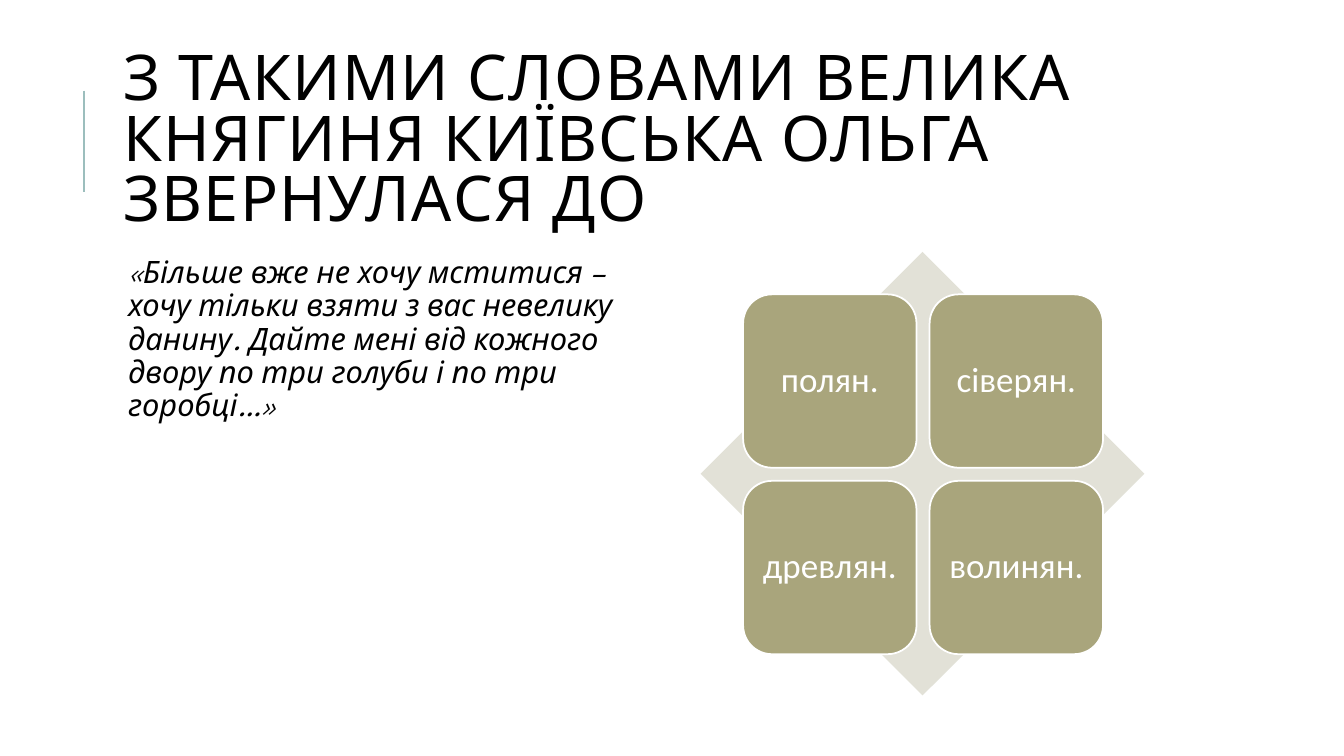
"""Build the quiz slide about Princess Olga's words with four answer tiles."""
from dataclasses import dataclass
from itertools import product

from lxml.etree import SubElement
from pptx import Presentation
from pptx.dml.color import RGBColor
from pptx.enum.shapes import MSO_CONNECTOR as CONN, MSO_SHAPE as SHAPE
from pptx.enum.text import MSO_ANCHOR as ANCHOR, MSO_AUTO_SIZE as AUTO, PP_ALIGN as ALIGN
from pptx.oxml.ns import qn
from pptx.util import Inches, Pt


@dataclass(frozen=True)
class Theme:
    ink: str = "000000"
    paper: str = "FFFFFF"
    accent: str = "9CBEBD"
    tile: str = "A9A57C"
    diamond: str = "E2E1D7"
    text_font: str = "League Spartan"
    tile_font: str = "Calibri"
    title_size: int = 45
    body_size: int = 22
    tile_size: int = 25


class QuizSlide:
    def __init__(self, prs, theme):
        self.theme = theme
        self.s = prs.slides.add_slide(prs.slide_layouts[1])

    def rgb(self, color):
        return RGBColor.from_string(color)

    def frame(self, sp, anchor, inset):
        tf = sp.text_frame
        tf.word_wrap = True
        tf.auto_size = AUTO.NONE
        tf.vertical_anchor = anchor
        tf.margin_left = tf.margin_right = Inches(inset)
        tf.margin_top = tf.margin_bottom = Inches(inset)
        return tf.paragraphs[0]

    def run(self, p, text, font, size, color, align, spacing):
        p.alignment = align
        p.line_spacing = spacing
        p.space_before = Pt(0)
        r = p.add_run()
        r.text = text
        r.font.name = font
        r.font.size = Pt(size)
        r.font.color.rgb = self.rgb(color)
        return r

    def place(self, sp, left, top, width, height):
        sp.left, sp.top = Inches(left), Inches(top)
        sp.width, sp.height = Inches(width), Inches(height)

    def title(self, text, *box):
        t, sp = self.theme, self.s.shapes.title
        self.place(sp, *box)
        p = self.frame(sp, ANCHOR.MIDDLE, 0.1)
        r = self.run(p, text, t.text_font, t.title_size, t.ink, ALIGN.LEFT, 0.8)
        r.font._element.set("spc", "100")

    def body(self, text, *box):
        t, sp = self.theme, self.s.placeholders[1]
        self.place(sp, *box)
        p = self.frame(sp, ANCHOR.TOP, 0.05)
        pPr = p._p.get_or_add_pPr()
        pPr.set("marL", str(Inches(0.1)))
        pPr.set("indent", str(Inches(-0.1)))
        SubElement(SubElement(pPr, qn("a:buClr")), qn("a:srgbClr")).set("val", t.accent)
        SubElement(pPr, qn("a:buChar")).set("char", " ")
        r = self.run(p, text, t.text_font, t.body_size, t.ink, ALIGN.LEFT, 0.9)
        r.font.italic = True
        p.space_after = Pt(2)

    def line(self, x, top, bottom):
        cn = self.s.shapes.add_connector(
            CONN.STRAIGHT, Inches(x), Inches(top), Inches(x), Inches(bottom))
        cn.line.color.rgb = self.rgb(self.theme.accent)
        cn.line.width = Pt(1.5)
        SubElement(cn._element.spPr, qn("a:effectLst"))

    def shape(self, kind, left, top, size, fill):
        sp = self.s.shapes.add_shape(
            kind, Inches(left), Inches(top), Inches(size), Inches(size))
        sp.shadow.inherit = False
        sp.fill.solid()
        sp.fill.fore_color.rgb = self.rgb(fill)
        sp.line.fill.background()
        return sp

    def diamond(self, left, top, size):
        self.shape(SHAPE.DIAMOND, left, top, size, self.theme.diamond)

    def tile(self, text, left, top, size):
        t = self.theme
        sp = self.shape(SHAPE.ROUNDED_RECTANGLE, left, top, size, t.tile)
        sp.line.color.rgb = self.rgb(t.paper)
        sp.line.width = Pt(1.25)
        p = self.frame(sp, ANCHOR.MIDDLE, 0.1)
        self.run(p, text, t.tile_font, t.tile_size, t.paper, ALIGN.CENTER, 0.9)


def main():
    prs = Presentation()
    prs.slide_width, prs.slide_height = Inches(13.33), Inches(7.5)
    quiz = QuizSlide(prs, Theme())
    quiz.line(0.83, 0.9, 1.9)
    quiz.title("З ТАКИМИ СЛОВАМИ ВЕЛИКА КНЯГИНЯ КИЇВСЬКА ОЛЬГА ЗВЕРНУЛАСЯ ДО",
               1.12, 0.6, 10.63, 1.64)
    quiz.body("«Більше вже не хочу мститися – хочу тільки взяти з вас невелику данину. "
              "Дайте мені від кожного двору по три голуби і по три горобці…»",
              1.12, 2.5, 5.2, 4.4)
    left, top, size = 6.95, 2.5, 4.4
    quiz.diamond(left, top, size)
    margin, tile, pitch = 0.42, 1.72, 1.85
    answers = ("полян.", "сіверян.", "древлян.", "волинян.")
    for text, (row, col) in zip(answers, product(range(2), repeat=2)):
        quiz.tile(text, left + margin + col * pitch, top + margin + row * pitch, tile)
    prs.save("out.pptx")


if __name__ == "__main__":
    main()
